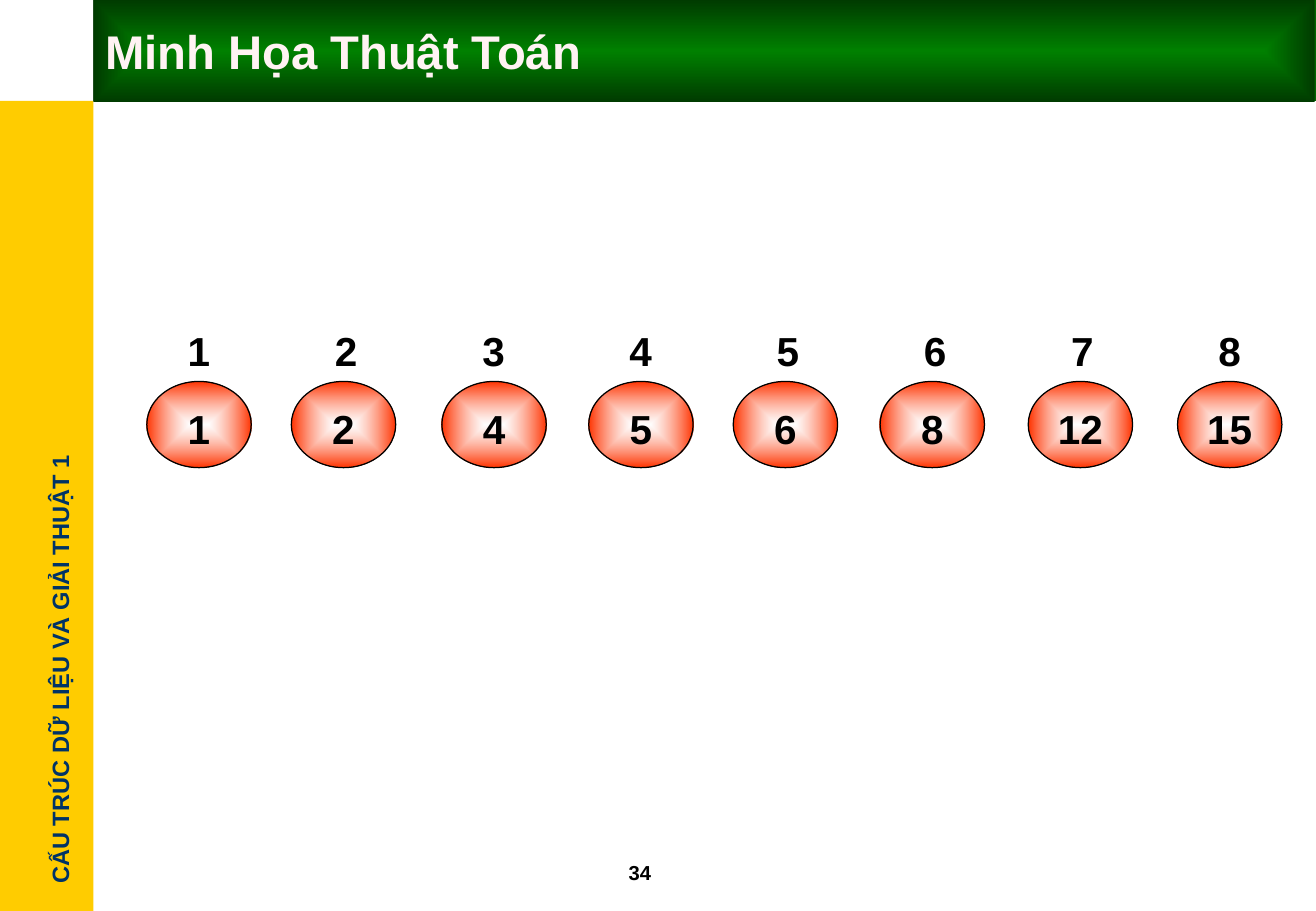
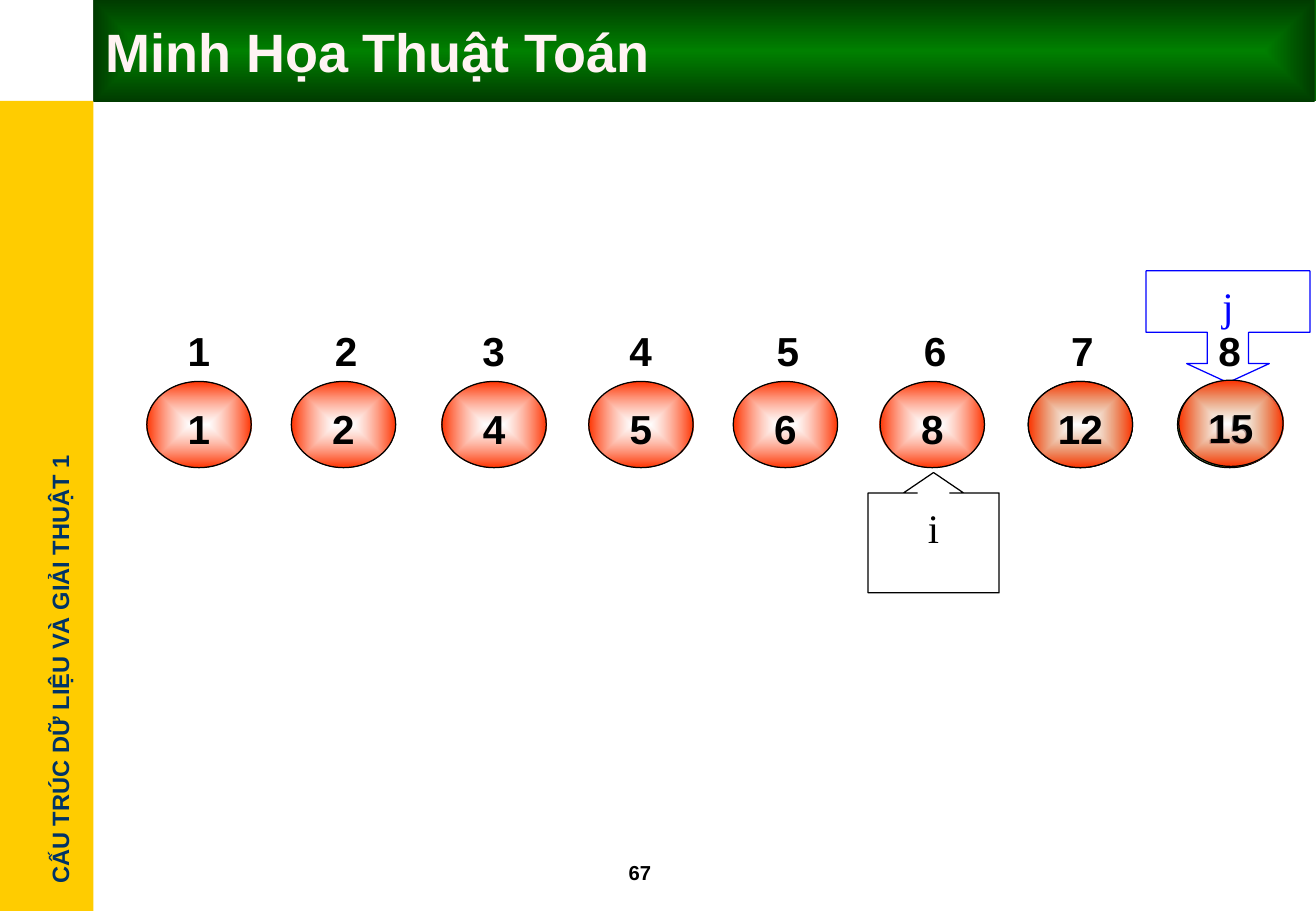
"""Build two slides that illustrate a sorting algorithm on an array of eight numbers."""
from dataclasses import dataclass
from typing import Any, Optional

import pptx
import pptx.dml.color
import pptx.enum.shapes
import pptx.enum.text
import pptx.oxml.ns
import pptx.oxml.xmlchemy
import pptx.util
from lxml import etree

Inches = pptx.util.Inches
Pt = pptx.util.Pt
Shapes = pptx.enum.shapes.MSO_SHAPE
Align = pptx.enum.text.PP_ALIGN
Anchor = pptx.enum.text.MSO_ANCHOR
qn = pptx.oxml.ns.qn


@dataclass(frozen=True)
class Theme:
    sans: str = "Arial"
    serif: str = "Times New Roman"
    black: str = "000000"
    white: str = "FFFFFF"
    sidebar: str = "FFCC00"
    sidebar_text: str = "003366"
    title_text: str = "FFF3F3"
    title_center: str = "008000"
    title_edge: str = "003B00"
    band_start: str = "002F00"
    band_end: str = "006600"
    red: str = "FF3300"
    green: str = "33CC33"
    blue: str = "0000FF"
    course_size: int = 14
    number_size: int = 12
    array_size: int = 24
    line_width: float = 0.75


@dataclass(frozen=True)
class Box:
    left: float
    top: float
    width: float
    height: float

    def lengths(self) -> tuple:
        return tuple(Inches(value) for value in (self.left, self.top, self.width, self.height))


@dataclass(frozen=True)
class Gradient:
    start: str
    end: str
    from_center: bool = True
    start_alpha: Optional[int] = None


@dataclass(frozen=True)
class Node:
    text: str
    left: float
    top: float = 3.14
    color: str = "FF3300"


@dataclass(frozen=True)
class Pointer:
    text: str
    kind: Any
    box: Box
    adjustments: tuple
    color: str


@dataclass(frozen=True)
class ArraySlide:
    number: str
    title_size: int
    sorted_colors: tuple
    pointers: tuple = ()
    moved_nodes: tuple = ()


THEME = Theme()
SLIDE_WIDTH, SLIDE_HEIGHT = 10.84, 7.5
SIDEBAR_WIDTH, BAND_HEIGHT = 0.77, 0.83
NODE_WIDTH, NODE_HEIGHT = 0.86, 0.71
FIRST_LEFT, LAST_LEFT, LABEL_TOP = 1.21, 9.7, 2.5
VALUES = ("1", "2", "4", "5", "6", "8", "12", "15")
VALUE_LEFTS = (1.21, 2.4, 3.64, 4.85, 6.04, 7.25, 8.47, 9.7)
PITCH = (LAST_LEFT - FIRST_LEFT) / (len(VALUES) - 1)

SLIDES = (
    ArraySlide("34", 28, (THEME.red,) * 8),
    ArraySlide(
        "67",
        32,
        (THEME.red,) * 6 + (THEME.green,) * 2,
        pointers=(
            Pointer("i", Shapes.UP_ARROW_CALLOUT, Box(7.15, 3.89, 1.08, 0.99),
                    (0.27, 0.25, 0.17, 0.99), THEME.black),
            Pointer("j", Shapes.DOWN_ARROW_CALLOUT, Box(9.44, 2.23, 1.35, 0.92),
                    (0.37, 0.37, 0.17, 0.55), THEME.blue),
        ),
        moved_nodes=(Node("15", 9.71, 3.13), Node("12", 8.47)),
    ),
)


def rgb(color: str) -> pptx.dml.color.RGBColor:
    return pptx.dml.color.RGBColor.from_string(color)


def write_text(shape: Any, text: str, *, size: int, color: str = THEME.black,
               font: str = THEME.sans, bold: bool = True, align: Any = Align.LEFT,
               anchor: Any = Anchor.TOP, wrap: bool = True,
               top_inset: float = 0.05, bottom_inset: float = 0.05) -> None:
    frame = shape.text_frame
    frame.word_wrap = wrap
    frame.vertical_anchor = anchor
    frame.margin_top, frame.margin_bottom = Inches(top_inset), Inches(bottom_inset)
    paragraph = frame.paragraphs[0]
    paragraph.alignment = align
    run = paragraph.add_run()
    run.text = text
    run.font.name = font
    run.font.size = Pt(size)
    run.font.bold = bold
    run.font.color.rgb = rgb(color)


def fill_gradient(shape: Any, gradient: Gradient) -> None:
    shape.fill.gradient()
    shape.fill.gradient_angle = 0
    for stop, color in zip(shape.fill.gradient_stops, (gradient.start, gradient.end)):
        stop.color.rgb = rgb(color)
    element = shape.element.spPr.find(qn("a:gradFill"))
    if gradient.start_alpha is not None:
        first_color = element.find(".//" + qn("a:srgbClr"))
        etree.SubElement(first_color, qn("a:alpha"), val=str(gradient.start_alpha * 1000))
    if gradient.from_center:
        linear = element.find(qn("a:lin"))
        center = etree.Element(qn("a:path"), path="rect")
        etree.SubElement(center, qn("a:fillToRect"), l="50000", t="50000", r="50000", b="50000")
        element.replace(linear, center)


def add_shape(slide: Any, kind: Any, box: Box, *, fill: Optional[str] = None,
              gradient: Optional[Gradient] = None, line: Optional[str] = None) -> Any:
    shape = slide.shapes.add_shape(kind, *box.lengths())
    shape.shadow.inherit = False
    if gradient:
        fill_gradient(shape, gradient)
    elif fill:
        shape.fill.solid()
        shape.fill.fore_color.rgb = rgb(fill)
    else:
        shape.fill.background()
    if line:
        shape.line.color.rgb = rgb(line)
        shape.line.width = Pt(THEME.line_width)
    else:
        shape.line.fill.background()
    return shape


def add_frame(slide: Any, number: str, title_size: int) -> None:
    add_shape(slide, Shapes.RECTANGLE,
              Box(0, BAND_HEIGHT, SIDEBAR_WIDTH, SLIDE_HEIGHT - BAND_HEIGHT), fill=THEME.sidebar)
    course = slide.shapes.add_textbox(*Box(-1.37, 5.34, 3.73, 0.34).lengths())
    course.rotation = 270
    write_text(course, "CẤU TRÚC DỮ LIỆU VÀ GIẢI THUẬT 1", size=THEME.course_size,
               color=THEME.sidebar_text, wrap=False)
    add_shape(slide, Shapes.RECTANGLE,
              Box(SIDEBAR_WIDTH, 0, SLIDE_WIDTH - SIDEBAR_WIDTH, BAND_HEIGHT),
              gradient=Gradient(THEME.band_start, THEME.band_end, from_center=False))
    page = slide.shapes.add_textbox(*Box(5.08, 7.03, 0.83, 0.3).lengths())
    write_text(page, number, size=THEME.number_size)
    title = add_shape(slide, Shapes.RECTANGLE, Box(SIDEBAR_WIDTH, 0, 10.06, 0.84),
                      gradient=Gradient(THEME.title_center, THEME.title_edge))
    write_text(title, "Minh Họa Thuật Toán", size=title_size, color=THEME.title_text,
               anchor=Anchor.MIDDLE)


def write_array_text(shape: Any, text: str, **text_format: Any) -> None:
    write_text(shape, text, size=THEME.array_size, align=Align.CENTER,
               top_inset=0.08, bottom_inset=0, **text_format)


def add_node(slide: Any, node: Node) -> None:
    shape = add_shape(slide, Shapes.OVAL, Box(node.left, node.top, NODE_WIDTH, NODE_HEIGHT),
                      gradient=Gradient(THEME.white, node.color, start_alpha=60),
                      line=THEME.black)
    write_array_text(shape, node.text)


def add_index(slide: Any, position: int) -> None:
    box = Box(FIRST_LEFT + position * PITCH, LABEL_TOP, NODE_WIDTH, NODE_HEIGHT)
    write_array_text(add_shape(slide, Shapes.OVAL, box), str(position + 1))


def add_pointer(slide: Any, pointer: Pointer) -> None:
    shape = add_shape(slide, pointer.kind, pointer.box, line=pointer.color)
    for position, value in enumerate(pointer.adjustments):
        shape.adjustments[position] = value
    write_array_text(shape, pointer.text, color=pointer.color, font=THEME.serif, bold=False)


def add_array_slide(presentation: Any, content: ArraySlide) -> None:
    slide = presentation.slides.add_slide(presentation.slide_layouts[6])
    add_frame(slide, content.number, content.title_size)
    for text, left, color in zip(VALUES, VALUE_LEFTS, content.sorted_colors):
        add_node(slide, Node(text, left, color=color))
    for position in range(len(VALUES)):
        add_index(slide, position)
    for pointer in content.pointers:
        add_pointer(slide, pointer)
    for node in content.moved_nodes:
        add_node(slide, node)


def main() -> None:
    presentation = pptx.Presentation()
    presentation.slide_width = Inches(SLIDE_WIDTH)
    presentation.slide_height = Inches(SLIDE_HEIGHT)
    for content in SLIDES:
        add_array_slide(presentation, content)
    presentation.save("out.pptx")


if __name__ == "__main__":
    main()
